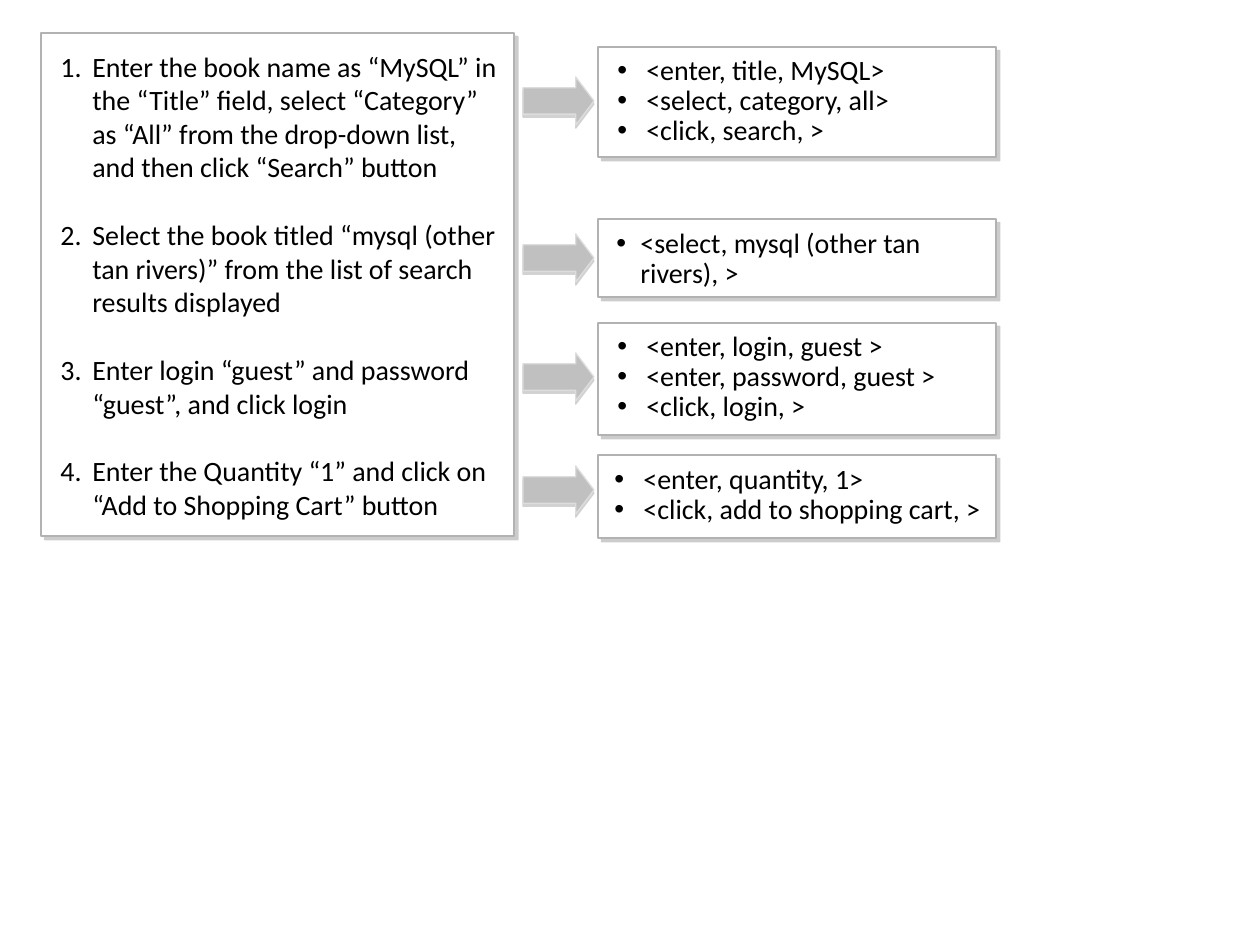
from lxml import etree
from pptx import Presentation
from pptx.dml.color import RGBColor
from pptx.enum.shapes import MSO_SHAPE
from pptx.enum.text import MSO_AUTO_SIZE
from pptx.oxml.ns import qn
from pptx.util import Emu, Pt

RECTANGLE = MSO_SHAPE.RECTANGLE
RIGHT_ARROW = MSO_SHAPE.RIGHT_ARROW
FIT_TEXT = MSO_AUTO_SIZE.SHAPE_TO_FIT_TEXT
PX = 914400 / 126


def add_block(kind, box, fill, line, width, shadow):
    """Add a filled shape with a soft-edged grey shadow."""
    block = slide.shapes.add_shape(kind, *[Emu(round(v * PX)) for v in box])
    block.fill.solid()
    block.fill.fore_color.rgb = RGBColor.from_string(fill)
    block.line.color.rgb = RGBColor.from_string(line)
    block.line.width = Pt(width)
    block.shadow.inherit = False
    opacity, distance, angle = shadow
    effects = block._element.spPr.find(qn("a:effectLst"))
    outer = etree.SubElement(effects, qn("a:outerShdw"), blurRad="0",
                             dist=str(Pt(distance)), dir=str(angle * 60000),
                             algn="ctr", rotWithShape="0")
    color = etree.SubElement(outer, qn("a:srgbClr"), val="808080")
    etree.SubElement(color, qn("a:alpha"), val=str(opacity * 1000))
    return block


def add_list(box, items, indent, bullet, attributes, spacing, gap):
    """Add a text box holding a bulleted or numbered list."""
    textbox = slide.shapes.add_textbox(*[Emu(round(v * PX)) for v in box])
    frame = textbox.text_frame
    frame.word_wrap = True
    frame.auto_size = FIT_TEXT
    for index, item in enumerate(items):
        paragraph = frame.paragraphs[0] if index == 0 else frame.add_paragraph()
        paragraph.text = item
        paragraph.line_spacing = spacing
        paragraph.space_before = Pt(gap if index else 0)
        properties = paragraph._p.get_or_add_pPr()
        properties.set("marL", str(round(indent * PX)))
        properties.set("indent", str(round(-indent * PX)))
        etree.SubElement(properties, qn("a:buFont"), typeface="Arial" if bullet == "a:buChar" else "Calibri")
        etree.SubElement(properties, qn(bullet), **attributes)
        paragraph.font.name = "Calibri"
        paragraph.font.size = Pt(16)
        paragraph.font.color.rgb = RGBColor.from_string("000000")


presentation = Presentation()
presentation.slide_width = Emu(round(1260 * PX))
presentation.slide_height = Emu(round(945 * PX))
slide = presentation.slides.add_slide(presentation.slide_layouts[6])

PANEL_STYLE = ("FFFFFF", "B2B2B2", 1, (40, 3, 45))
ARROW_STYLE = ("C0C0C0", "DDDDDD", 0.75, (35, 1.8, 90))

# Test steps in plain language
instructions = [
    "Enter the book name as “MySQL” in the “Title” field, select “Category” "
    "as “All” from the drop-down list, and then click “Search” button",
    "Select the book titled “mysql (other tan rivers)” from the list of "
    "search results displayed",
    "Enter login “guest” and password “guest”, and click login",
    "Enter the Quantity “1” and click on “Add to Shopping Cart” button",
]
add_block(RECTANGLE, (41, 33, 473, 503), *PANEL_STYLE)
add_list((48, 43, 466, 485), instructions, 32, "a:buAutoNum",
         {"type": "arabicPeriod"}, 1.0, 19.5)

# Action tuples: panel top and height, text box, indent, arrow top, items
actions = [
    (47, 110, (605, 50, 365, 103), 29, 77,
     ["<enter, title, MySQL>", "<select, category, all>", "<click, search, >"]),
    (219, 78, (604, 223, 347, 73), 24, 234,
     ["<select, mysql (other tan rivers), >"]),
    (323, 112, (605, 326, 365, 103), 29, 353,
     ["<enter, login, guest >", "<enter, password, guest >", "<click, login, >"]),
    (455, 83, (602, 459, 407, 73), 29, 466,
     ["<enter, quantity, 1>", "<click, add to shopping cart, >"]),
]
for panel_top, panel_height, text_box, indent, arrow_top, tuples in actions:
    add_block(RECTANGLE, (598, panel_top, 398, panel_height), *PANEL_STYLE)
    add_list(text_box, tuples, indent, "a:buChar", {"char": "•"}, 0.9, 0)
    arrow = add_block(RIGHT_ARROW, (523, arrow_top, 71, 48), *ARROW_STYLE)
    arrow.adjustments[0] = 0.55
    arrow.adjustments[1] = 0.38

presentation.save("out.pptx")
